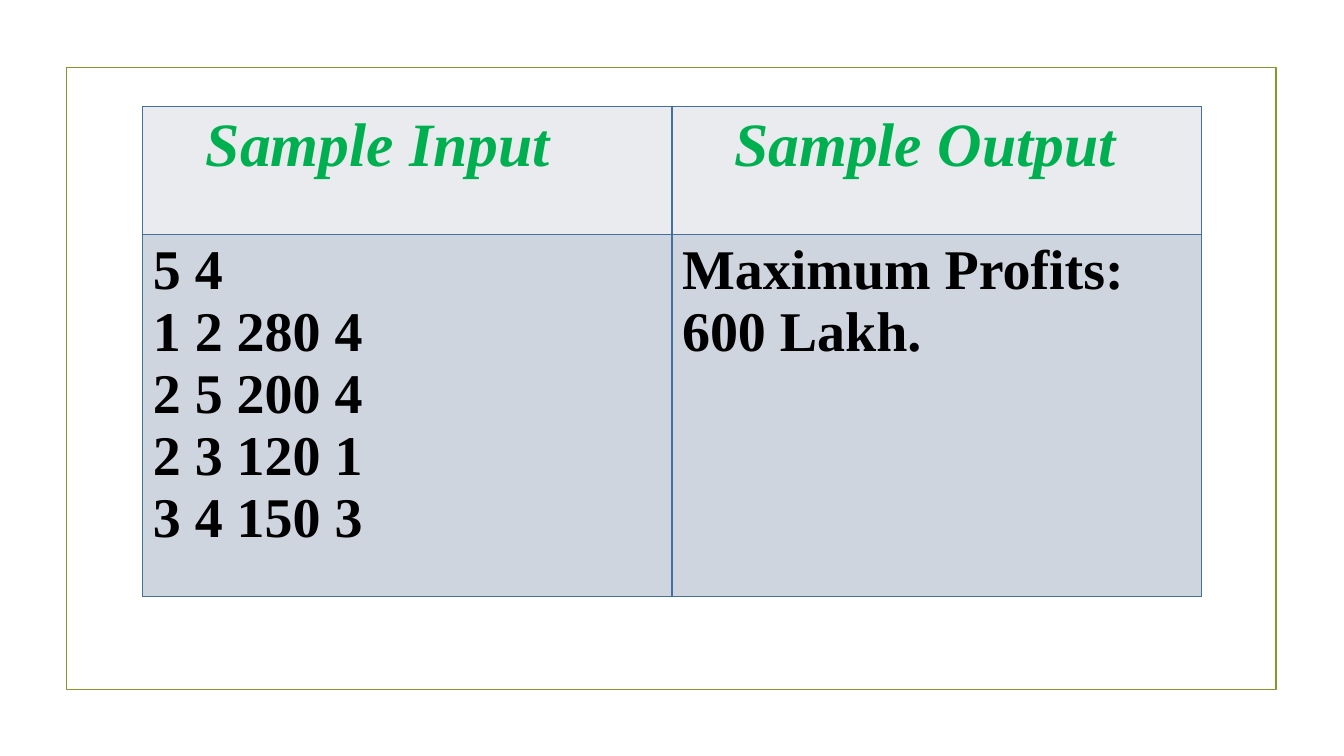
from dataclasses import dataclass

from lxml.etree import SubElement
from pptx import Presentation
from pptx.dml.color import RGBColor
from pptx.enum.shapes import MSO_SHAPE as Preset
from pptx.enum.text import PP_ALIGN as Align
from pptx.oxml.ns import qn
from pptx.table import _Cell as Cell
from pptx.util import Pt

COLORS = {
    "frame": "83992A",
    "border": "44709D",
    "header_fill": "E9EBEF",
    "body_fill": "CFD5DF",
    "header_text": "00B050",
    "body_text": "000000",
}
FONT = "Times New Roman"
COLUMN_WIDTH = 378
HEADER_HEIGHT = 91.5
BODY_HEIGHT = 258.5


@dataclass
class Sample:
    title: str
    title_right_margin: float
    lines: list[str]


SAMPLES = [
    Sample("Sample Input", 49.2,
           ["5 4", "1 2 280 4", "2 5 200 4", "2 3 120 1", "3 4 150 3"]),
    Sample("Sample Output", 23.6, ["Maximum Profits: 600 Lakh."]),
]


def rgb(name: str) -> RGBColor:
    return RGBColor.from_string(COLORS[name])


def write_lines(cell: Cell, lines: list[str], *, size: float, color: str,
                italic: bool = False, align: Align = Align.LEFT) -> None:
    frame = cell.text_frame
    for index, line in enumerate(lines):
        paragraph = frame.add_paragraph() if index else frame.paragraphs[0]
        paragraph.alignment = align
        run = paragraph.add_run()
        run.text = line
        run.font.name = FONT
        run.font.size = Pt(size)
        run.font.bold = True
        run.font.italic = italic
        run.font.color.rgb = rgb(color)


def style_cell(cell: Cell, fill: str) -> None:
    properties = cell._tc.get_or_add_tcPr()
    for side in ("a:lnL", "a:lnR", "a:lnT", "a:lnB"):
        border = SubElement(properties, qn(side), w=str(Pt(1)))
        solid = SubElement(border, qn("a:solidFill"))
        SubElement(solid, qn("a:srgbClr"), val=COLORS["border"])
    cell.fill.solid()
    cell.fill.fore_color.rgb = rgb(fill)


def main() -> None:
    deck = Presentation()
    deck.slide_width, deck.slide_height = Pt(960), Pt(540)
    slide = deck.slides.add_slide(deck.slide_layouts[6])

    frame = slide.shapes.add_shape(
        Preset.RECTANGLE, Pt(47.5), Pt(48.25), Pt(864), Pt(444.25))
    frame.shadow.inherit = False
    frame.fill.background()
    frame.line.color.rgb = rgb("frame")
    frame.line.width = Pt(1.25)

    table = slide.shapes.add_table(
        2, len(SAMPLES), Pt(102), Pt(76.25),
        Pt(COLUMN_WIDTH * len(SAMPLES)), Pt(HEADER_HEIGHT + BODY_HEIGHT)).table
    table.rows[0].height = Pt(HEADER_HEIGHT)
    table.rows[1].height = Pt(BODY_HEIGHT)

    for column, sample in enumerate(SAMPLES):
        table.columns[column].width = Pt(COLUMN_WIDTH)
        header, body = table.cell(0, column), table.cell(1, column)
        style_cell(header, "header_fill")
        style_cell(body, "body_fill")
        header.margin_right = Pt(sample.title_right_margin)
        write_lines(header, [sample.title], size=44, color="header_text",
                    italic=True, align=Align.CENTER)
        write_lines(body, sample.lines, size=40, color="body_text")

    deck.save("out.pptx")


if __name__ == "__main__":
    main()
